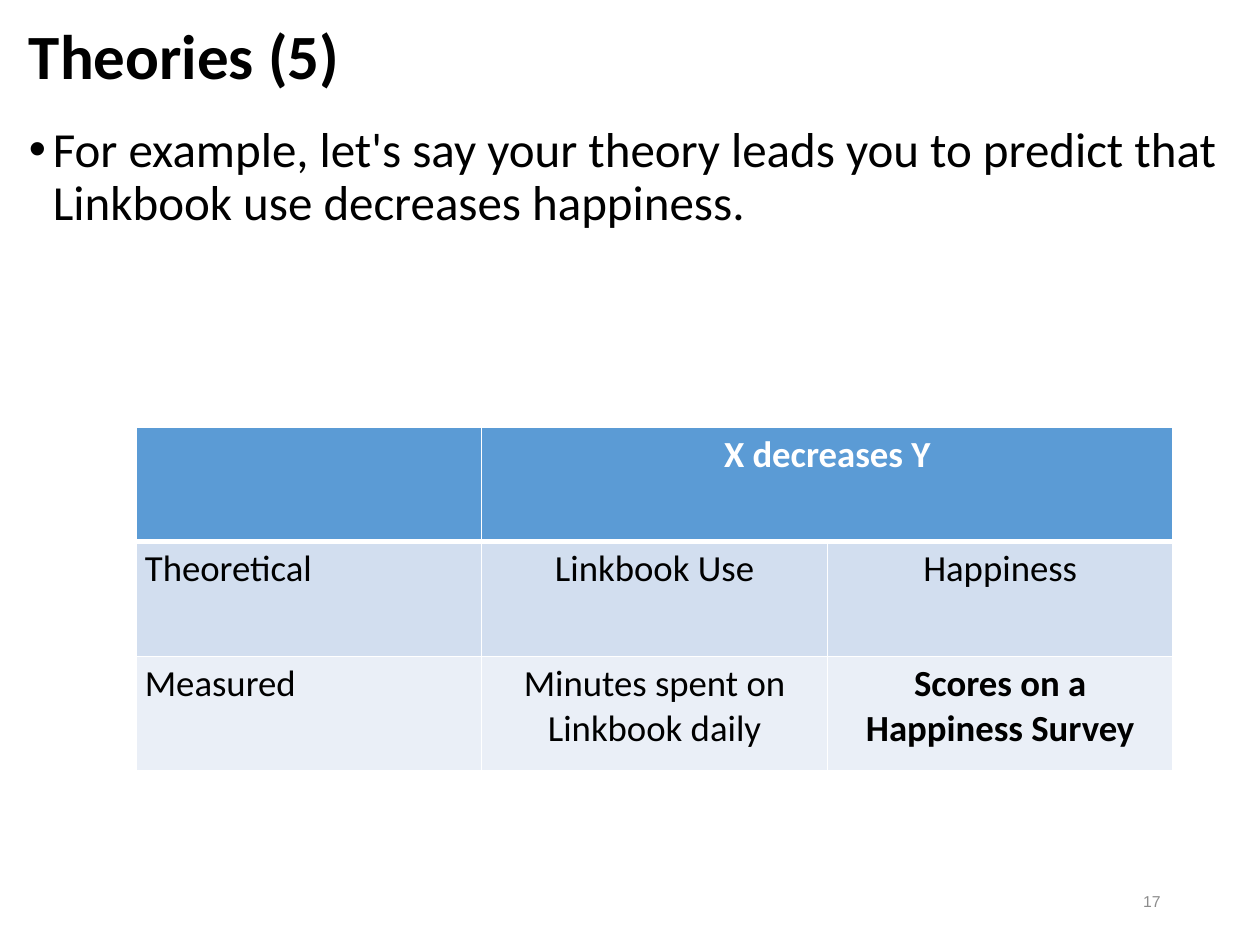
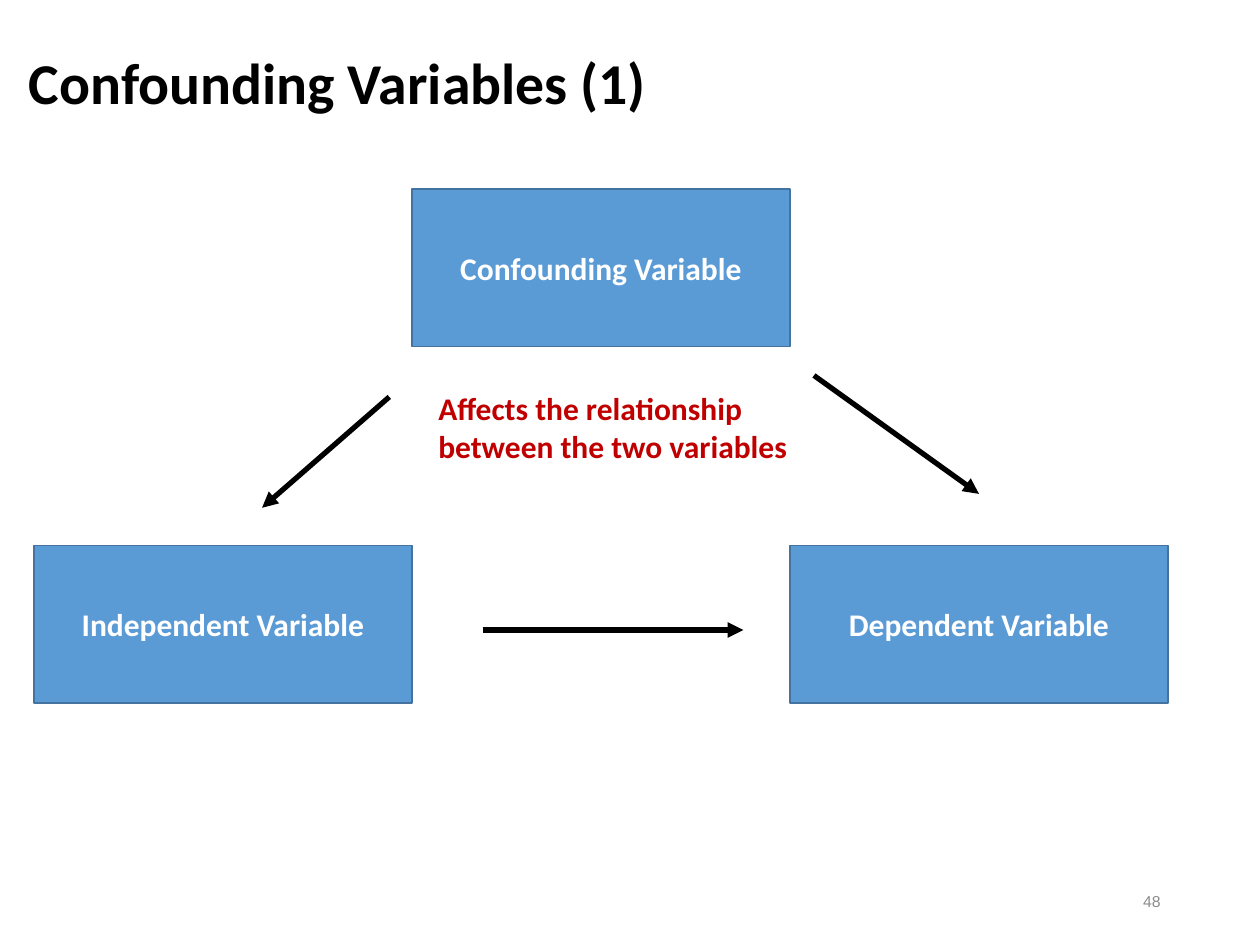
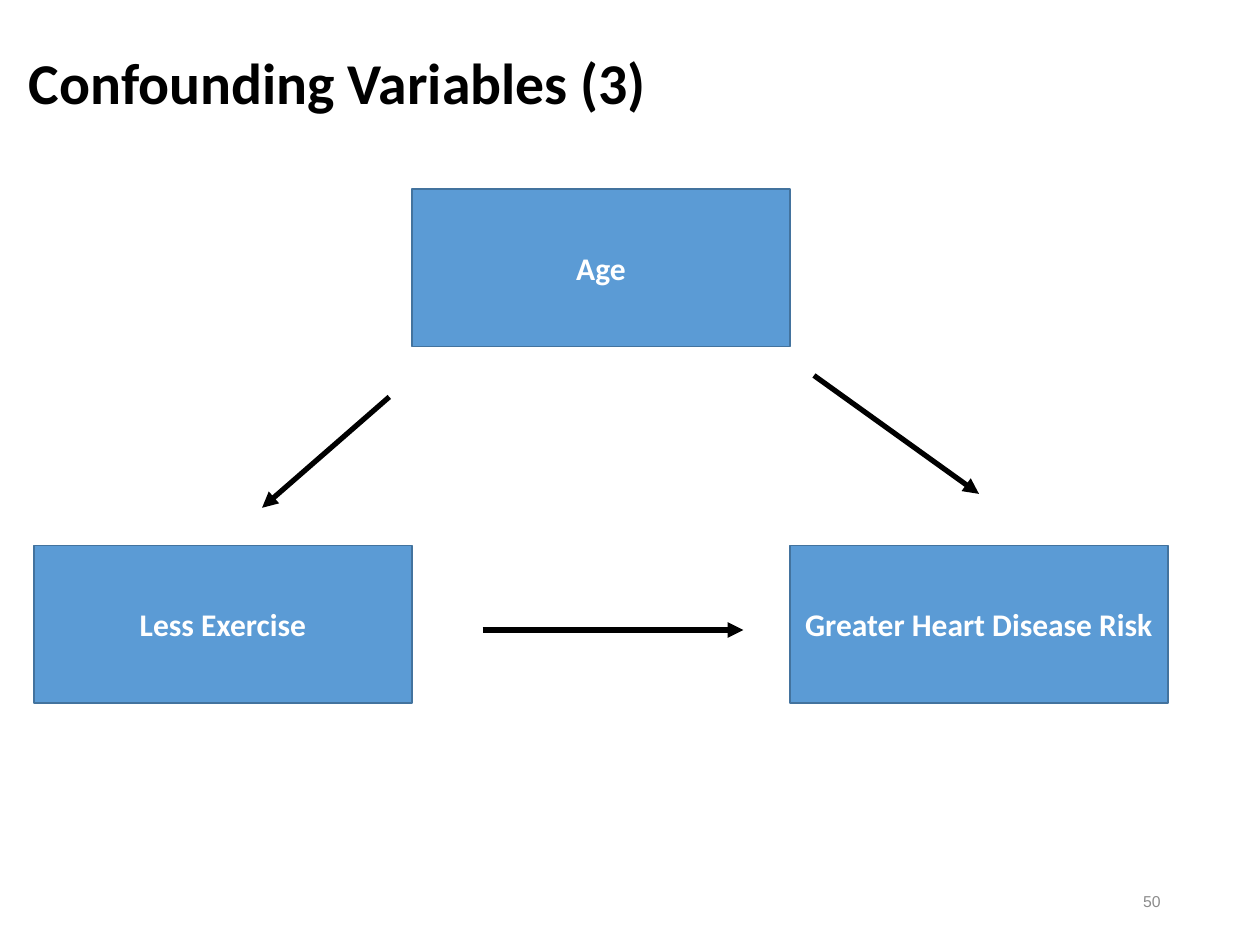
from lxml.etree import SubElement
from pptx import Presentation
from pptx.dml.color import RGBColor
from pptx.enum.shapes import MSO_CONNECTOR, MSO_SHAPE
from pptx.enum.text import MSO_ANCHOR, MSO_AUTO_SIZE, PP_ALIGN
from pptx.oxml.ns import qn
from pptx.util import Inches, Pt

BLACK, WHITE, GRAY, RED = "000000", "FFFFFF", "8C8C8C", "C00000"
BLUE, BLUE_LINE = "5B9BD5", "43739E"
ROW_FILLS = [BLUE, "D2DEEF", "EAEFF7"]
BODY_LAYOUT, TITLE_LAYOUT = 1, 5

BOX_SIZE = (3, 1.25)
BOX_PLACES = [(3.27, 1.5), (0.27, 4.33), (6.27, 4.33)]  # top, left, right
ARROWS = [((3.83, 5), (5.9, 5)),
          ((6.46, 2.98), (7.77, 3.92)),
          ((3.09, 3.15), (2.08, 4.03))]


def color(value):
    return RGBColor.from_string(value)


def inches(*lengths):
    return [Inches(length) for length in lengths]


def style(para, size, ink=BLACK, bold=False, align=PP_ALIGN.LEFT, name="Calibri"):
    para.alignment = align
    font = para.font
    font.name, font.size, font.bold = name, Pt(size), bold
    font.color.rgb = color(ink)


def place(shape, left, top, width, height):
    shape.left, shape.top, shape.width, shape.height = inches(left, top, width, height)


def fill_placeholder(shape, text, at, anchor):
    place(shape, *at)
    frame = shape.text_frame
    frame.text = text
    frame.auto_size = MSO_AUTO_SIZE.NONE
    frame.vertical_anchor = anchor
    para = frame.paragraphs[0]
    para.line_spacing = 0.9
    para.space_before = Pt(0)
    return para


def add_text(page, text, at, anchor=MSO_ANCHOR.TOP, **look):
    frame = page.shapes.add_textbox(*inches(*at)).text_frame
    frame.word_wrap = True
    frame.vertical_anchor = anchor
    frame.text = text
    style(frame.paragraphs[0], **look)


def add_page(deck, layout, title, number, title_top, title_size):
    """Add a slide with its title and page number."""
    page = deck.slides.add_slide(deck.slide_layouts[layout])
    para = fill_placeholder(page.shapes.title, title, (0.13, title_top, 8.62, 0.7),
                            MSO_ANCHOR.MIDDLE)
    style(para, title_size, bold=True)
    add_text(page, number, (7.06, 6.95, 2.25, 0.4), MSO_ANCHOR.MIDDLE,
             size=9, ink=GRAY, align=PP_ALIGN.RIGHT, name="Arial")
    return page


def add_bullet(page, text):
    para = fill_placeholder(page.placeholders[1], text, (0.13, 0.94, 9.73, 6.37),
                            MSO_ANCHOR.TOP)
    props = para._p.get_or_add_pPr()
    props.set("marL", str(Inches(0.19)))
    props.set("indent", str(-Inches(0.19)))
    SubElement(props, qn("a:buFont"), typeface="Arial")
    SubElement(props, qn("a:buChar"), char="•")
    style(para, 28)


def set_borders(cell, row):
    """White borders, thicker between the heading and the first row."""
    widths = {"lnL": 1, "lnR": 1, "lnT": 3 if row == 1 else 1, "lnB": 3 if row == 0 else 1}
    for side, width in widths.items():
        line = SubElement(cell._tc.get_or_add_tcPr(), qn("a:" + side), w=str(Pt(width)))
        SubElement(SubElement(line, qn("a:solidFill")), qn("a:srgbClr"), val=WHITE)


def add_variable_table(page, rows):
    table = page.shapes.add_table(len(rows), len(rows[0]),
                                  *inches(1.08, 3.39, 8.23, 2.73)).table
    for row, texts in enumerate(rows):
        for column, text in enumerate(texts):
            cell = table.cell(row, column)
            set_borders(cell, row)
            cell.fill.solid()
            cell.fill.fore_color.rgb = color(ROW_FILLS[row])
            cell.margin_left = cell.margin_right = Inches(0.07)
            cell.margin_top = cell.margin_bottom = Inches(0.04)
            cell.text = text
            style(cell.text_frame.paragraphs[0], 21,
                  ink=WHITE if row == 0 else BLACK,
                  bold=row == 0 or (row, column) == (2, 2),
                  align=PP_ALIGN.CENTER if column else PP_ALIGN.LEFT)
    table.cell(0, 1).merge(table.cell(0, 2))


def add_box(page, text, corner):
    box = page.shapes.add_shape(MSO_SHAPE.RECTANGLE, *inches(*corner, *BOX_SIZE))
    box.shadow.inherit = False
    box.fill.solid()
    box.fill.fore_color.rgb = color(BLUE)
    box.line.color.rgb = color(BLUE_LINE)
    box.line.width = Pt(1)
    frame = box.text_frame
    frame.word_wrap = True
    frame.vertical_anchor = MSO_ANCHOR.MIDDLE
    frame.text = text
    style(frame.paragraphs[0], 18, WHITE, True, PP_ALIGN.CENTER)


def add_arrow(page, start, end):
    arrow = page.shapes.add_connector(MSO_CONNECTOR.STRAIGHT, *inches(*start, *end))
    arrow.line.color.rgb = color(BLACK)
    arrow.line.width = Pt(3)
    SubElement(arrow.line._get_or_add_ln(), qn("a:tailEnd"), type="triangle")
    SubElement(arrow._element.spPr, qn("a:effectLst"))


def add_confounding_page(deck, title, number, variables):
    page = add_page(deck, TITLE_LAYOUT, title, number, 0.33, 33)
    for text, corner in zip(variables, BOX_PLACES):
        add_box(page, text, corner)
    for start, end in ARROWS:
        add_arrow(page, start, end)
    return page


def main():
    deck = Presentation()
    deck.slide_width, deck.slide_height = inches(10, 7.5)

    # Theory and measurement
    page = add_page(deck, BODY_LAYOUT, "Theories (5)", "17", 0.12, 36)
    add_bullet(page, "For example, let's say your theory leads you to predict that "
                     "Linkbook use decreases happiness.")
    add_variable_table(page, [
        ["", "X decreases Y", ""],
        ["Theoretical", "Linkbook Use", "Happiness"],
        ["Measured", "Minutes spent on Linkbook daily", "Scores on a Happiness Survey"],
    ])

    # Confounding variables: the idea, then an example
    page = add_confounding_page(
        deck, "Confounding Variables (1)", "48",
        ["Confounding Variable", "Independent Variable", "Dependent Variable"])
    add_text(page, "Affects the relationship between the two variables",
             (3.38, 3.04, 2.98, 0.71), size=18, ink=RED, bold=True)
    add_confounding_page(
        deck, "Confounding Variables (3)", "50",
        ["Age", "Less Exercise", "Greater Heart Disease Risk"])

    deck.save("out.pptx")


if __name__ == "__main__":
    main()
